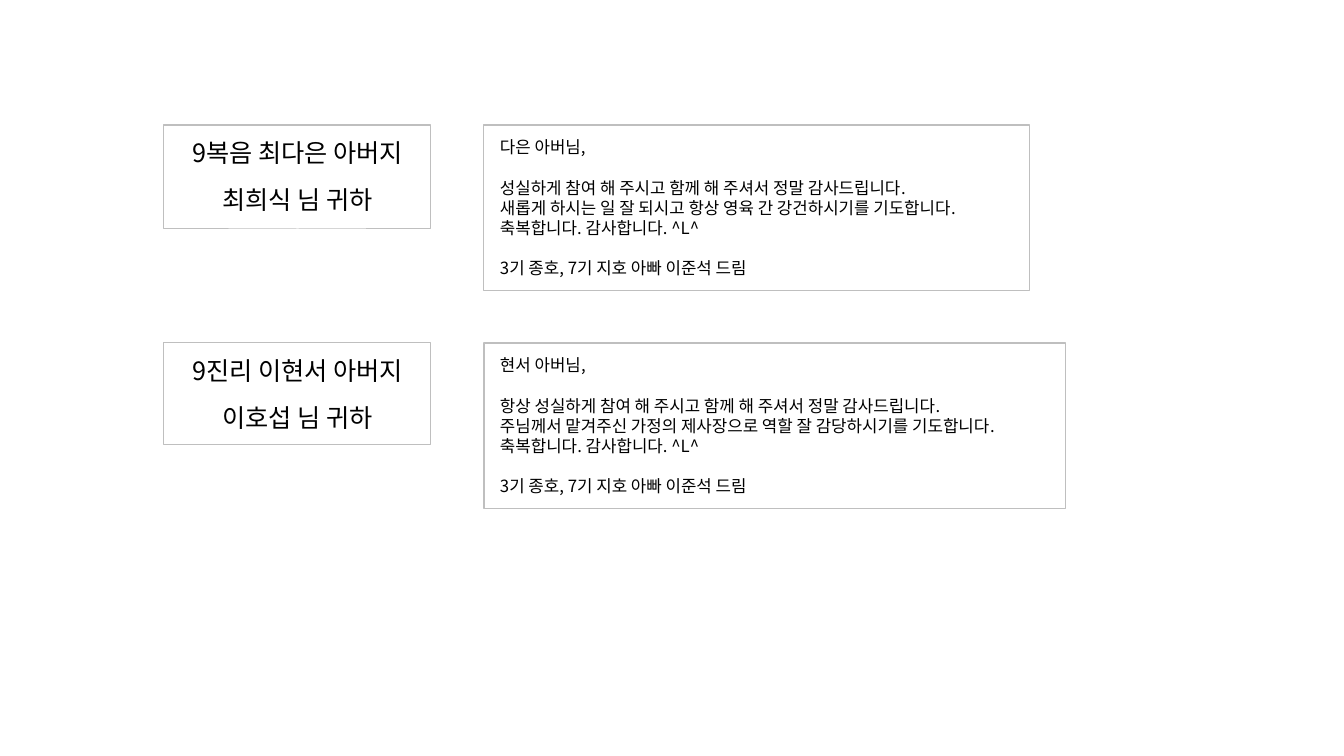
from pptx import Presentation
from pptx.dml.color import RGBColor
from pptx.enum.text import MSO_ANCHOR, PP_ALIGN
from pptx.oxml.ns import qn
from pptx.util import Pt

PX = 914400 / 100.8
FONT = "Noto Sans CJK KR"
ADDRESS_LEFT, LETTER_LEFT = 164, 484
ADDRESS_WIDTH, LETTER_HEIGHT = 267, 166
LINE_RATIO = 1.2

# top, address height, letter width, address lines, letter greeting, letter body
CARDS = [
    (125, 104, 546, ["9복음 최다은 아버지", "최희식 님 귀하"], "다은 아버님,",
     ["성실하게 참여 해 주시고 함께 해 주셔서 정말 감사드립니다.",
      "새롭게 하시는 일 잘 되시고 항상 영육 간 강건하시기를 기도합니다."]),
    (343, 102, 582, ["9진리 이현서 아버지", "이호섭 님 귀하"], "현서 아버님,",
     ["항상 성실하게 참여 해 주시고 함께 해 주셔서 정말 감사드립니다.",
      "주님께서 맡겨주신 가정의 제사장으로 역할 잘 감당하시기를 기도합니다."]),
]
BLESSING = "축복합니다. 감사합니다. ^L^"
SIGNATURE = "3기 종호, 7기 지호 아빠 이준석 드림"


def px(length):
    return round(length * PX)


def color(hex_code):
    return RGBColor.from_string(hex_code)


def add_framed_text(slide, left, top, width, height, blocks, size, gap, align):
    """Draw a bordered box whose blocks of lines are set apart by gap points."""
    box = slide.shapes.add_textbox(px(left), px(top), px(width), px(height))
    box.line.color.rgb = color("BFBFBF")
    box.line.width = Pt(0.75)
    frame = box.text_frame
    settings = {
        "word_wrap": True, "vertical_anchor": MSO_ANCHOR.TOP,
        "margin_left": px(16), "margin_right": px(16),
        "margin_top": px(12), "margin_bottom": px(12),
    }
    for name, value in settings.items():
        setattr(frame, name, value)

    paragraph = None
    for block in blocks:
        for index, line in enumerate(block):
            starts_block = paragraph is not None and index == 0
            paragraph = frame.add_paragraph() if paragraph else frame.paragraphs[0]
            paragraph.alignment = align
            paragraph.line_spacing = Pt(size * LINE_RATIO)
            paragraph.space_before = Pt(gap if starts_block else 0)
            add_words(paragraph, line, size)


def add_words(paragraph, words, size):
    run = paragraph.add_run()
    run.text = words
    run.font.size = Pt(size)
    run.font.name = FONT
    run.font.color.rgb = color("000000")
    properties = run.font._element
    east_asian = properties.makeelement(qn("a:ea"), {"typeface": FONT})
    properties.find(qn("a:latin")).addnext(east_asian)


def main():
    deck = Presentation()
    deck.slide_width, deck.slide_height = px(1344), px(756)
    slide = deck.slides.add_slide(deck.slide_layouts[6])
    for top, address_height, letter_width, address, greeting, body in CARDS:
        add_framed_text(slide, ADDRESS_LEFT, top, ADDRESS_WIDTH, address_height,
                        [[line] for line in address], 18, 12, PP_ALIGN.CENTER)
        add_framed_text(slide, LETTER_LEFT, top, letter_width, LETTER_HEIGHT,
                        [[greeting], [*body, BLESSING], [SIGNATURE]],
                        12, 14.4, PP_ALIGN.LEFT)
    deck.save("out.pptx")


if __name__ == "__main__":
    main()
